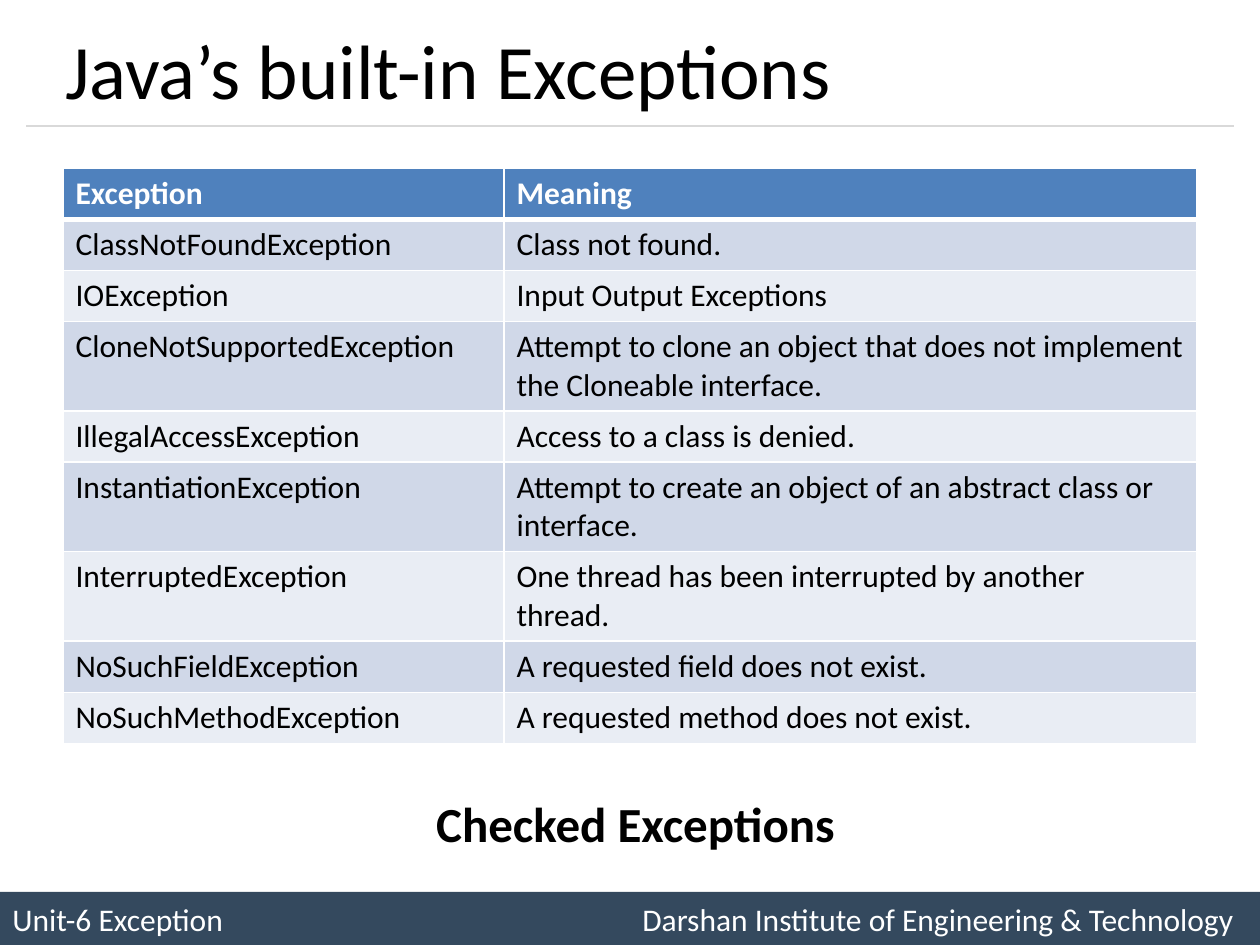
from lxml import etree
from pptx import Presentation
from pptx.dml.color import RGBColor
from pptx.enum.shapes import MSO_CONNECTOR, MSO_SHAPE
from pptx.enum.text import MSO_ANCHOR, PP_ALIGN
from pptx.oxml.ns import qn
from pptx.util import Cm, Pt

STRAIGHT = MSO_CONNECTOR.STRAIGHT
RECTANGLE = MSO_SHAPE.RECTANGLE
MIDDLE = MSO_ANCHOR.MIDDLE
LEFT, CENTER = PP_ALIGN.LEFT, PP_ALIGN.CENTER
FONT = "Calibri"
WHITE, BLACK = "FFFFFF", "000000"
HEADER_FILL = "4F81BD"
BAND_FILLS = ("D0D8E8", "E9EDF4")
TITLE_ONLY = 5

EXCEPTIONS = [
    ("Exception", "Meaning"),
    ("ClassNotFoundException", "Class not found."),
    ("IOException", "Input Output Exceptions"),
    ("CloneNotSupportedException",
     "Attempt to clone an object that does not implement the Cloneable interface."),
    ("IllegalAccessException", "Access to a class is denied."),
    ("InstantiationException",
     "Attempt to create an object of an abstract class or interface."),
    ("InterruptedException", "One thread has been interrupted by another thread."),
    ("NoSuchFieldException", "A requested field does not exist."),
    ("NoSuchMethodException", "A requested method does not exist."),
]


def color(hex_text):
    return RGBColor.from_string(hex_text)


def write(frame, text, size, ink, bold=False, align=LEFT):
    frame.text = text
    para = frame.paragraphs[0]
    para.alignment = align
    for span in para.runs:
        span.font.name = FONT
        span.font.size = Pt(size)
        span.font.bold = bold
        span.font.color.rgb = color(ink)


def set_border(cell, side, width):
    line = etree.Element(qn("a:" + side), w=str(Pt(width)))
    fill = etree.SubElement(line, qn("a:solidFill"))
    etree.SubElement(fill, qn("a:srgbClr"), val=WHITE)
    return line


def add_title(page, left, top, width, height):
    title = page.shapes.title
    title.left, title.top, title.width, title.height = left, top, width, height
    write(title.text_frame, "Java’s built-in Exceptions", 44, BLACK)
    title.text_frame.vertical_anchor = MIDDLE


def add_rule(page, left, top, width):
    rule = page.shapes.add_connector(STRAIGHT, left, top, left + width, top)
    rule.line.color.rgb = color("D9D9D9")
    rule.line.width = Pt(0.75)
    etree.SubElement(rule._element.spPr, qn("a:effectLst"))


def add_exception_table(page, left, top, column_widths, row_height):
    table = page.shapes.add_table(
        len(EXCEPTIONS), len(column_widths), left, top,
        sum(column_widths), row_height * len(EXCEPTIONS)).table
    for column, width in zip(table.columns, column_widths):
        column.width = width
    for row_index, texts in enumerate(EXCEPTIONS):
        header = row_index == 0
        table.rows[row_index].height = row_height
        fill = HEADER_FILL if header else BAND_FILLS[(row_index - 1) % 2]
        borders = {"lnL": 1, "lnR": 1, "lnT": 3 if row_index == 1 else 1,
                   "lnB": 3 if header else 1}
        for cell, text in zip(table.rows[row_index].cells, texts):
            write(cell.text_frame, text, 18, WHITE if header else BLACK, header)
            cell.fill.solid()
            cell.fill.fore_color.rgb = color(fill)
            properties = cell._tc.get_or_add_tcPr()
            for position, (side, width) in enumerate(borders.items()):
                properties.insert(position, set_border(cell, side, width))


def add_caption(page, left, top, width, height):
    box = page.shapes.add_textbox(left, top, width, height)
    box.text_frame.word_wrap = True
    write(box.text_frame, "Checked Exceptions", 28, BLACK, True, CENTER)


def add_footer(page, left, top, width, height):
    bar = page.shapes.add_shape(RECTANGLE, left, top, width, height)
    bar.shadow.inherit = False
    bar.fill.solid()
    bar.fill.fore_color.rgb = color("34495E")
    bar.line.fill.background()
    frame = bar.text_frame
    write(frame, "Unit-6 Exception\tDarshan Institute of Engineering & Technology",
          18, WHITE)
    frame.vertical_anchor = MIDDLE
    tabs = etree.SubElement(frame.paragraphs[0]._p.get_or_add_pPr(), qn("a:tabLst"))
    etree.SubElement(tabs, qn("a:tab"), pos=str(Cm(12.7)), algn="l")


def main():
    deck = Presentation()
    deck.slide_width, deck.slide_height = Cm(25.4), Cm(19.05)
    page = deck.slides.add_slide(deck.slide_layouts[TITLE_ONLY])
    add_footer(page, 0, Cm(17.98), deck.slide_width, Cm(1.07))
    add_rule(page, Cm(0.53), Cm(2.54), Cm(24.34))
    add_exception_table(page, Cm(1.27), Cm(3.39), (Cm(8.89), Cm(13.97)), Cm(1.03))
    add_title(page, Cm(1.06), Cm(-0.21), Cm(22.86), Cm(3.18))
    add_caption(page, Cm(1.91), Cm(15.88), Cm(21.8), Cm(1.45))
    deck.save("out.pptx")


if __name__ == "__main__":
    main()
